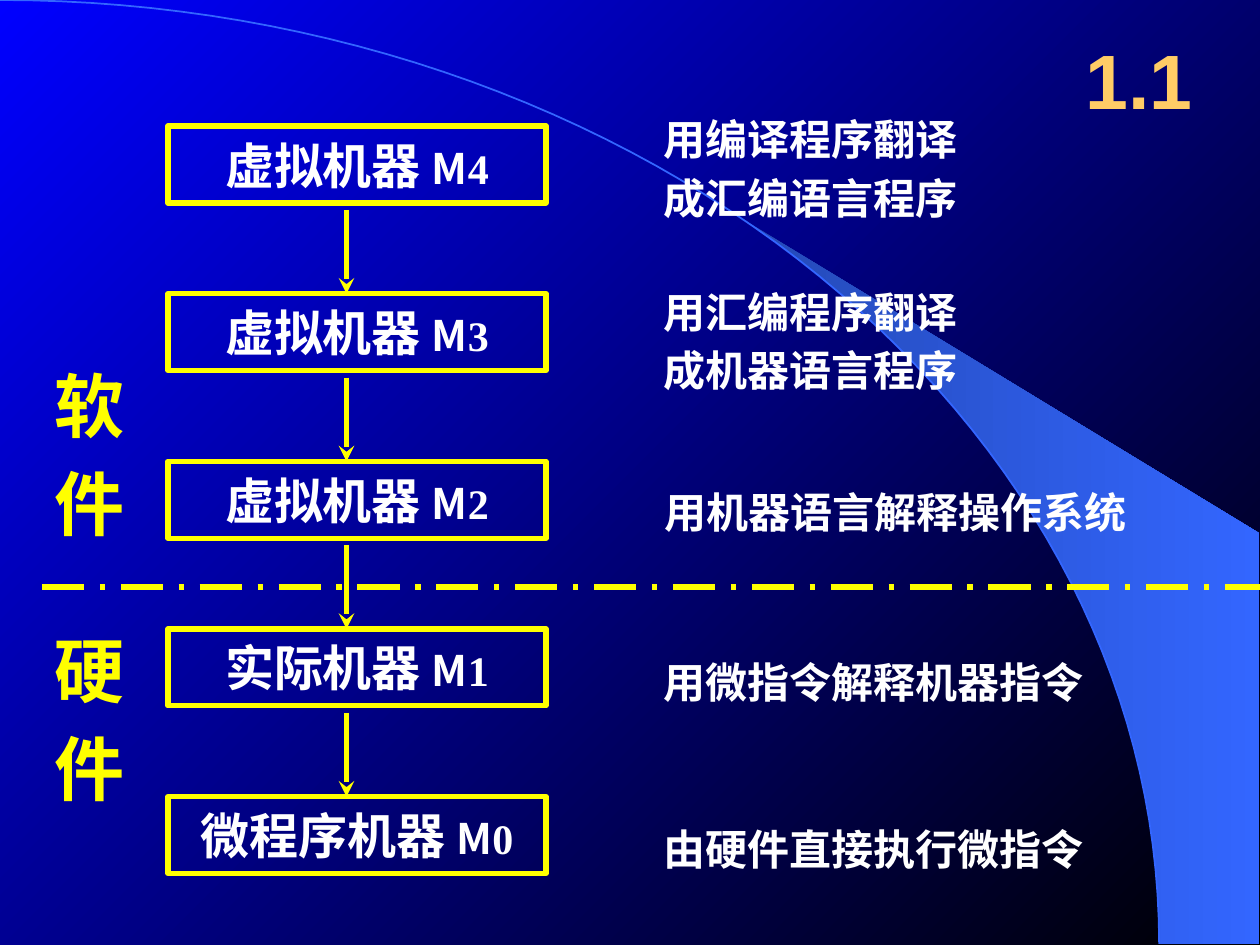
from math import asin, cos, pi, sin
from pptx import Presentation
from pptx.dml.color import RGBColor
from pptx.enum import dml, shapes, text
from pptx.oxml import ns
from pptx.util import Pt
from lxml import etree

YELLOW = RGBColor(0xFF, 0xFF, 0x00)
WHITE = RGBColor(0xFF, 0xFF, 0xFF)
ORANGE = RGBColor(0xFF, 0xCC, 0x66)
BLUE = RGBColor(0x00, 0x00, 0xFF)
BLACK = RGBColor(0x00, 0x00, 0x00)
WEDGE_DARK = RGBColor(0x24, 0x49, 0xB6)
WEDGE_LIGHT = RGBColor(0x33, 0x66, 0xFF)
CJK = "Noto Sans CJK SC"

deck = Presentation()
deck.slide_width, deck.slide_height = Pt(720), Pt(540)
page = deck.slides.add_slide(deck.slide_layouts[5])


def write(para, pieces, color):
    para.alignment = text.PP_ALIGN.CENTER
    para.font.bold = True
    para.font.color.rgb = color
    for words, size, font in pieces:
        span = para.add_run()
        span.text = words
        span.font.size = Pt(size)
        span.font.name = font
        east = etree.SubElement(span.font._element, ns.qn("a:ea"))
        east.set("typeface", CJK)


def add_line(x1, y1, x2, y2):
    line = page.shapes.add_connector(
        shapes.MSO_CONNECTOR.STRAIGHT, Pt(x1), Pt(y1), Pt(x2), Pt(y2))
    line.line.color.rgb = YELLOW
    line.line.width = Pt(3)
    etree.SubElement(line._element.spPr, ns.qn("a:effectLst"))
    return line


backdrop = page.background.fill
backdrop.gradient()
backdrop.gradient_angle = 315
for stop, color, position in zip(backdrop.gradient_stops, (BLUE, BLACK), (0, 1)):
    stop.color.rgb, stop.position = color, position

ARC_WIDTH, ARC_HEIGHT, STEPS = 662.4, 539.3, 60
arcs = []
for start in (0, asin(5.89 / 9.2)):
    angles = [start + (pi / 2 - start) * step / STEPS for step in range(STEPS + 1)]
    arcs.append([(Pt(ARC_WIDTH * sin(a)), Pt(ARC_HEIGHT * (1 - cos(a)))) for a in angles])
curve_points, wedge_points = arcs
wedge_points += [(Pt(719.3), Pt(539.3)), (Pt(719.3), Pt(304.6))]

builder = page.shapes.build_freeform(*wedge_points[0])
builder.add_line_segments(wedge_points[1:], close=True)
wedge = builder.convert_to_shape()
wedge.shadow.inherit = False
wedge.line.fill.background()
wedge.fill.gradient()
wedge.fill.gradient_angle = 0
for stop, color, position in zip(wedge.fill.gradient_stops, (WEDGE_DARK, WEDGE_LIGHT), (0, 1)):
    stop.color.rgb, stop.position = color, position

builder = page.shapes.build_freeform(*curve_points[0])
builder.add_line_segments(curve_points[1:], close=False)
curve = builder.convert_to_shape()
curve.shadow.inherit = False
curve.fill.background()
curve.line.color.rgb = WEDGE_LIGHT
curve.line.width = Pt(1)

title = page.shapes.title
title.left, title.top, title.width, title.height = Pt(606), Pt(12), Pt(90), Pt(66)
title.text_frame.vertical_anchor = text.MSO_ANCHOR.MIDDLE
write(title.text_frame.paragraphs[0], [("1.1", 44, "Arial")], ORANGE)

labels = [
    (371.5, 61.2, 183.6, 24, WHITE, ["用编译程序翻译", "成汇编语言程序"]),
    (371.5, 160, 183.6, 24, WHITE, ["用汇编程序翻译", "成机器语言程序"]),
    (371.5, 274.3, 280, 24, WHITE, ["用机器语言解释操作系统"]),
    (371.5, 371.5, 255.6, 24, WHITE, ["用微指令解释机器指令"]),
    (371.5, 467.3, 255.6, 24, WHITE, ["由硬件直接执行微指令"]),
    (23.8, 203.8, 54.7, 40, YELLOW, ["软", "件"]),
    (23.8, 355, 54.7, 40, YELLOW, ["硬", "件"]),
]
for left, top, width, size, color, lines in labels:
    height = 7.2 + size * (1.2 * len(lines) + 0.2 * (len(lines) - 1))
    box = page.shapes.add_textbox(Pt(left), Pt(top), Pt(width), Pt(height))
    frame = box.text_frame
    frame.word_wrap = False
    for index, words in enumerate(lines):
        para = frame.add_paragraph() if index else frame.paragraphs[0]
        para.line_spacing = Pt(size * 1.2)
        para.space_before = Pt(size * 0.2 if index else 0)
        write(para, [(words, size, CJK)], color)

divider = add_line(24, 335.5, 720, 335.5)
divider.line.dash_style = dml.MSO_LINE.LONG_DASH_DOT

machines = ["虚拟机器", "虚拟机器", "虚拟机器", "实际机器", "微程序机器"]
ROW_STEP = 95.8
for row, machine in enumerate(machines):
    top = 72 + row * ROW_STEP
    box = page.shapes.add_shape(
        shapes.MSO_SHAPE.RECTANGLE, Pt(96), Pt(top), Pt(216), Pt(44))
    box.shadow.inherit = False
    box.fill.background()
    box.line.color.rgb = YELLOW
    box.line.width = Pt(3)
    box.text_frame.vertical_anchor = text.MSO_ANCHOR.MIDDLE
    pieces = [(machine + " ", 28, CJK), ("M", 24, CJK),
              (str(4 - row), 24, "Times New Roman")]
    write(box.text_frame.paragraphs[0], pieces, WHITE)
    if row < len(machines) - 1:
        arrow = add_line(198, top + 48, 198, top + ROW_STEP)
        tail = etree.SubElement(arrow.line._get_or_add_ln(), ns.qn("a:tailEnd"))
        tail.set("type", "stealth")

deck.save("out.pptx")
